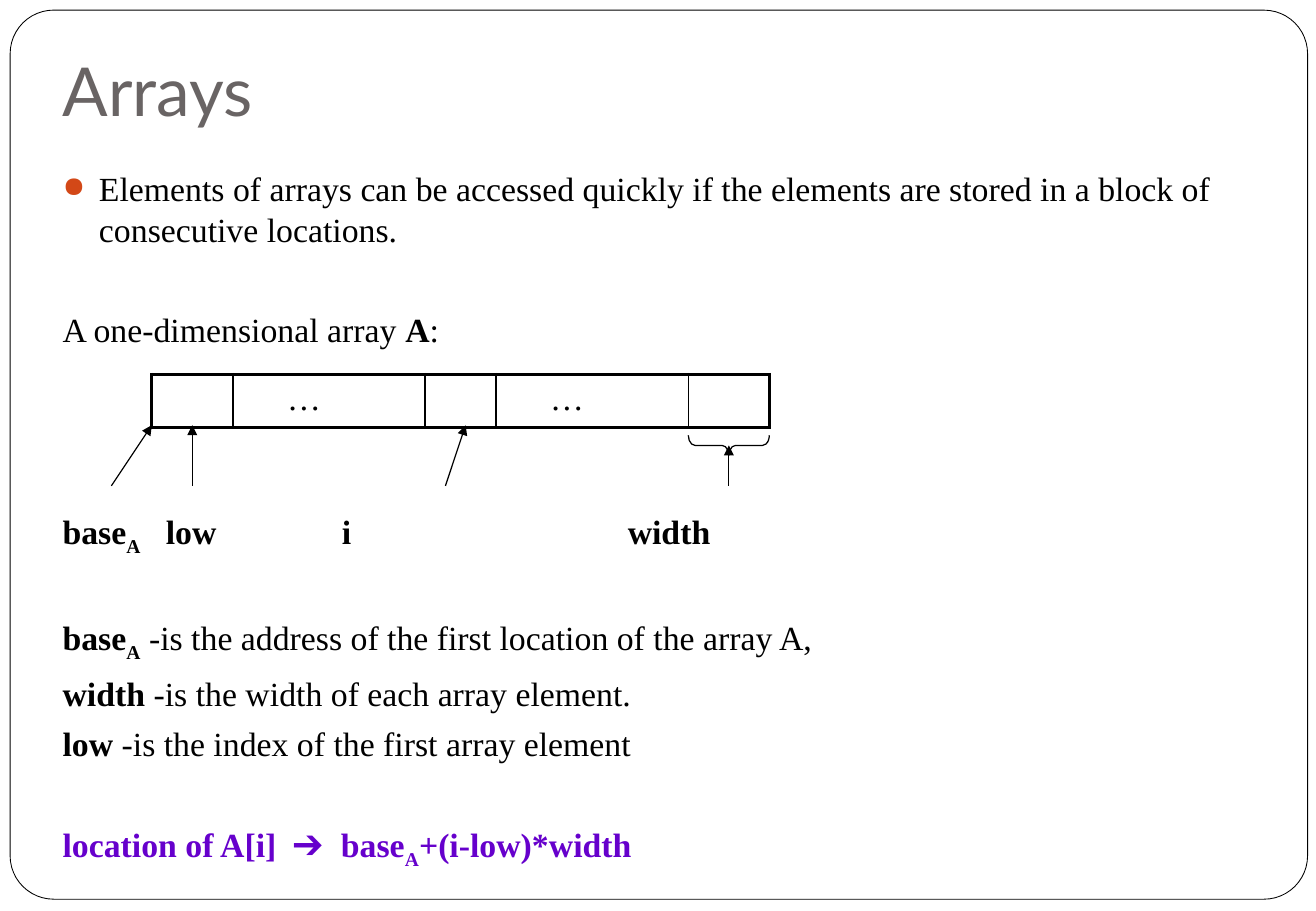
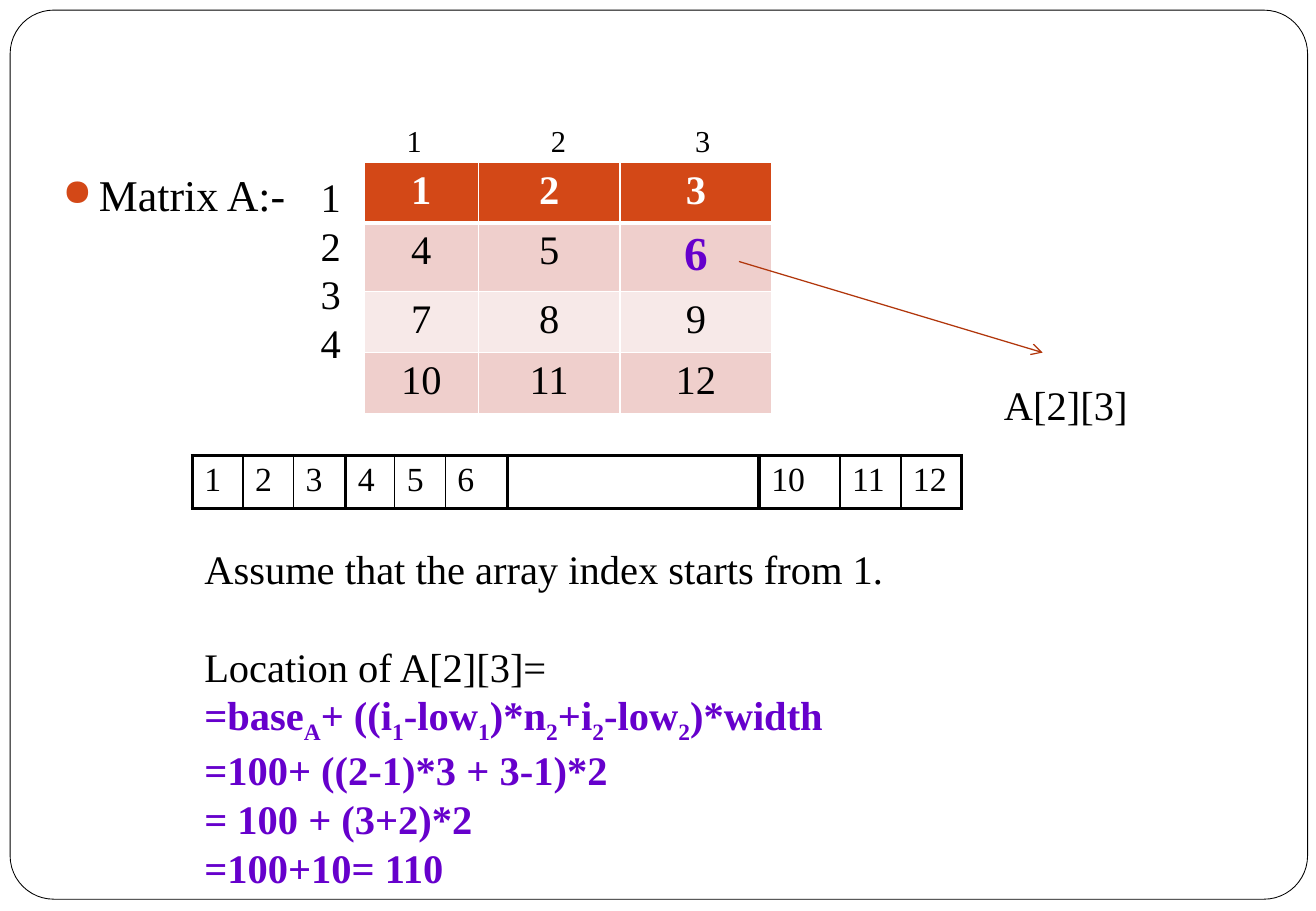
import dataclasses

import lxml.etree
import pptx
import pptx.dml.color
import pptx.enum.dml
import pptx.enum.shapes
import pptx.enum.text
import pptx.oxml.ns
import pptx.util

Pt = pptx.util.Pt
ALIGN = pptx.enum.text.PP_ALIGN
ANCHOR = pptx.enum.text.MSO_ANCHOR
SHAPE = pptx.enum.shapes.MSO_SHAPE
TITLE_ONLY, BLANK = 5, 6


@dataclasses.dataclass(frozen=True)
class Theme:
    heading_font: str = "Lato"
    text_font: str = "Times New Roman"
    ink: str = "000000"
    paper: str = "FFFFFF"
    heading: str = "696464"
    accent: str = "D34817"
    pointer: str = "B1360B"
    formula: str = "6600CC"
    band_dark: str = "EFCFCC"
    band_light: str = "F7E9E8"
    title_size: float = 40
    strong_size: float = 28
    topic_size: float = 26
    large_size: float = 24
    body_size: float = 20
    small_size: float = 18
    thick: float = 2.25
    thin: float = 1
    hairline: float = 0.75


THEME = Theme()


def rgb(value):
    return pptx.dml.color.RGBColor.from_string(value)


def add_xml(parent, tag, **attributes):
    """Append one DrawingML element to its parent."""
    values = {name: str(value) for name, value in attributes.items()}
    return lxml.etree.SubElement(parent, pptx.oxml.ns.qn("a:" + tag), values)


def write(para, text, size=THEME.body_size, color=THEME.ink, font=THEME.text_font,
          bold=False, bullet=False, tabs=(), before=0, align=None):
    """Fill a paragraph; |bars| enclose bold text, ~tildes~ enclose subscripts."""
    properties = para._p.get_or_add_pPr()
    if bullet:
        properties.set("marL", str(Pt(21.6)))
        properties.set("indent", str(Pt(-21.6)))
        add_xml(add_xml(properties, "buClr"), "srgbClr", val=THEME.accent)
        add_xml(properties, "buSzPct", val=85000)
        add_xml(properties, "buChar", char="●")
    if tabs:
        stops = add_xml(properties, "tabLst")
        for stop in tabs:
            add_xml(stops, "tab", pos=Pt(stop), algn="l")
    if before:
        para.space_before = Pt(before)
    if align is not None:
        para.alignment = align
    for weight, chunk in enumerate(text.split("|")):
        for level, piece in enumerate(chunk.split("~")):
            if not piece:
                continue
            span = para.add_run()
            span.text = piece
            span.font.name = font
            span.font.size = Pt(size)
            span.font.bold = bold or weight % 2 == 1
            span.font.color.rgb = rgb(color)
            if level % 2:
                span._r.get_or_add_rPr().set("baseline", "-25000")


class Deck:
    """Holds the presentation, its theme and the current page."""

    def __init__(self, theme):
        self.theme = theme
        self.deck = pptx.Presentation()
        self.deck.slide_width, self.deck.slide_height = Pt(780), Pt(540)
        self.page = None

    def new_page(self, title=None):
        layout = self.deck.slide_layouts[TITLE_ONLY if title else BLANK]
        self.page = self.deck.slides.add_slide(layout)
        # Rounded frame behind everything
        frame = self.shape(SHAPE.ROUNDED_RECTANGLE, 6, 6, 769, 527, fill=self.theme.paper,
                           line=self.theme.ink, weight=0.5, adjust=[0.049])
        self.page.shapes._spTree.insert(2, frame._element)
        if title:
            box = self.page.shapes.title
            box.left, box.top, box.width, box.height = Pt(30), Pt(12), Pt(738), Pt(72)
            frame_text = box.text_frame
            frame_text.vertical_anchor = ANCHOR.BOTTOM
            frame_text.margin_bottom = Pt(7.2)
            write(frame_text.paragraphs[0], title, size=self.theme.title_size,
                  color=self.theme.heading, font=self.theme.heading_font, align=ALIGN.LEFT)

    def shape(self, kind, left, top, width, height, fill=None, line=None, weight=1,
              adjust=(), rotation=0):
        shape = self.page.shapes.add_shape(kind, Pt(left), Pt(top), Pt(width), Pt(height))
        shape.shadow.inherit = False
        shape.rotation = rotation
        if fill:
            shape.fill.solid()
            shape.fill.fore_color.rgb = rgb(fill)
        else:
            shape.fill.background()
        shape.line.color.rgb = rgb(line)
        shape.line.width = Pt(weight)
        for index, value in enumerate(adjust):
            shape.adjustments[index] = value
        return shape

    def fill_text(self, box, lines, **style):
        """Write lines given as text or as (text, own format)."""
        box.text_frame.word_wrap = True
        box.text_frame.vertical_anchor = ANCHOR.TOP
        for index, line in enumerate(lines):
            text, own = (line, {}) if isinstance(line, str) else line
            para = box.text_frame.paragraphs[0] if index == 0 else box.text_frame.add_paragraph()
            write(para, text, **{"align": ALIGN.LEFT, **style, **own})

    def text(self, left, top, width, height, lines, **style):
        box = self.page.shapes.add_textbox(Pt(left), Pt(top), Pt(width), Pt(height))
        self.fill_text(box, lines, **style)

    def arrow(self, start, end, color=THEME.ink, head="triangle"):
        line = self.page.shapes.add_connector(
            pptx.enum.shapes.MSO_CONNECTOR.STRAIGHT, *(Pt(value) for value in (*start, *end)))
        line.line.color.rgb = rgb(color)
        line.line.width = Pt(self.theme.hairline)
        add_xml(line.line._get_or_add_ln(), "tailEnd", type=head)
        add_xml(line._element.spPr, "effectLst")

    def table(self, left, top, widths, row_height, rows, columns_edges, rows_edges, edge_color,
              cell_style):
        """Draw a table; the edge lists hold line widths, one more than columns or rows."""
        table = self.page.shapes.add_table(
            len(rows), len(widths), Pt(left), Pt(top), Pt(sum(widths)),
            Pt(row_height * len(rows))).table
        table.first_row = table.horz_banding = False
        for column, width in zip(table.columns, widths):
            column.width = Pt(width)
        for y, row in enumerate(rows):
            table.rows[y].height = Pt(row_height)
            for x, text in enumerate(row):
                cell = table.cell(y, x)
                fill, margin, style = cell_style(y, text)
                cell.margin_left = Pt(margin)
                edges = {"lnL": columns_edges[x], "lnR": columns_edges[x + 1],
                         "lnT": rows_edges[y], "lnB": rows_edges[y + 1]}
                for tag, weight in edges.items():
                    edge = add_xml(cell._tc.get_or_add_tcPr(), tag, w=Pt(weight))
                    add_xml(add_xml(edge, "solidFill"), "srgbClr", val=edge_color)
                if fill:
                    cell.fill.solid()
                    cell.fill.fore_color.rgb = rgb(fill)
                else:
                    cell.fill.background()
                write(cell.text_frame.paragraphs[0], text, **style)

    def memory_row(self, left, top, widths, height, values, edges):
        """One row of storage cells with black edges."""
        self.table(left, top, widths, height, [values], edges, [self.theme.thick] * 2,
                   self.theme.ink,
                   lambda y, text: (None, 32.2 if text == "…" else 7.2, {}))

    def matrix(self, left, top, widths, height, rows, marked):
        """Number grid with a coloured first row and one marked value."""
        theme = self.theme

        def cell_style(y, text):
            style = {"size": theme.large_size, "align": ALIGN.CENTER}
            if y == 0:
                return theme.accent, 7.2, {**style, "color": theme.paper, "bold": True}
            if text == marked:
                style.update(size=theme.strong_size, color=theme.formula, bold=True)
            return theme.band_dark if y % 2 else theme.band_light, 7.2, style

        edges = [theme.thin] * (len(widths) + 1)
        self.table(left, top, widths, height, rows, edges,
                   [theme.thin, 3] + [theme.thin] * (len(rows) - 1), theme.paper, cell_style)


def arrays_page(deck):
    theme = deck.theme
    deck.new_page("Arrays")
    # Explanation around the drawing
    near, gap, drawing_gap = 5.8, 35.7, 95.5
    deck.text(30, 96, 708, 414, [
        ("Elements of arrays can be accessed quickly if the elements are stored in a block of "
         "consecutive locations.", {"bullet": True}),
        ("A one-dimensional array |A|:", {"before": gap}),
        ("base~A~\tlow\ti\twidth", {"before": drawing_gap, "bold": True,
                                    "tabs": (61.2, 165.5, 335)}),
        ("|base~A~| -is the address of the first location of the array A,", {"before": gap}),
        ("|width| -is the width of each array element.", {"before": near}),
        ("|low| -is the index of the first array element", {"before": near}),
        ("location of A[i]\t➔\tbase~A~+(i-low)*width",
         {"before": gap, "bold": True, "color": theme.formula, "tabs": (136.5, 165)}),
    ])
    # Array cells with pointers from the labels
    deck.memory_row(90, 222, [48, 114, 42, 114, 48], 30, ["", "…", "", "…", ""],
                    [theme.thick] + [theme.thin] * 4 + [theme.thick])
    deck.shape(SHAPE.LEFT_BRACE, 426, 240, 12, 48, line=theme.ink, weight=theme.hairline,
               adjust=[0.333, 0.5], rotation=270)
    for foot, tip, tip_y in [(66, 90, 252), (114, 114, 252), (264, 276, 252), (432, 432, 264)]:
        deck.arrow((foot, 288), (tip, tip_y))


def matrix_page(deck):
    theme = deck.theme
    deck.new_page()
    # Matrix with row and column numbers
    deck.text(30, 96, 684, 402, [("Matrix A:-", {"bullet": True})], size=theme.topic_size)
    numbers = [[str(row * 3 + column) for column in (1, 2, 3)] for row in range(4)]
    deck.matrix(216, 96, [67.5, 84, 90], 29.5, numbers, marked="6")
    row_labels = deck.shape(SHAPE.RECTANGLE, 183, 98.5, 24, 124, fill=theme.paper,
                            line=theme.paper)
    deck.fill_text(row_labels, ["1", "2", "3", "4"], size=theme.large_size)
    deck.text(234, 69, 216, 29, ["1\t2\t3"], size=theme.small_size, tabs=(85.5, 171))
    # Marked element
    deck.arrow((438, 155), (618, 209), color=theme.pointer, head="arrow")
    deck.text(588, 222, 120, 36, ["A[2][3]"], size=theme.large_size)
    # Row-by-row storage
    thick, thin = theme.thick, theme.thin
    deck.memory_row(114, 270, [30, 30, 31, 29, 30, 37, 149, 48, 36, 36], 24,
                    ["1", "2", "3", "4", "5", "6", "", "10", "11", "12"],
                    [thick, thin, thin] * 2 + [thick, thick, thin, thin, thick])
    # Worked address
    formula = {"color": theme.formula, "bold": True}
    deck.text(114, 319, 540, 211, [
        "Assume that the array index starts from 1.",
        ("Location of A[2][3]=", {"before": 29}),
        ("=base~A~+ ((i~1~-low~1~)*n~2~+i~2~-low~2~)*width", formula),
        ("=100+ ((2-1)*3 + 3-1)*2", formula),
        ("= 100 + (3+2)*2", formula),
        ("=100+10= 110", formula),
    ], size=theme.large_size)


def main():
    deck = Deck(THEME)
    arrays_page(deck)
    matrix_page(deck)
    deck.deck.save("out.pptx")


if __name__ == "__main__":
    main()
